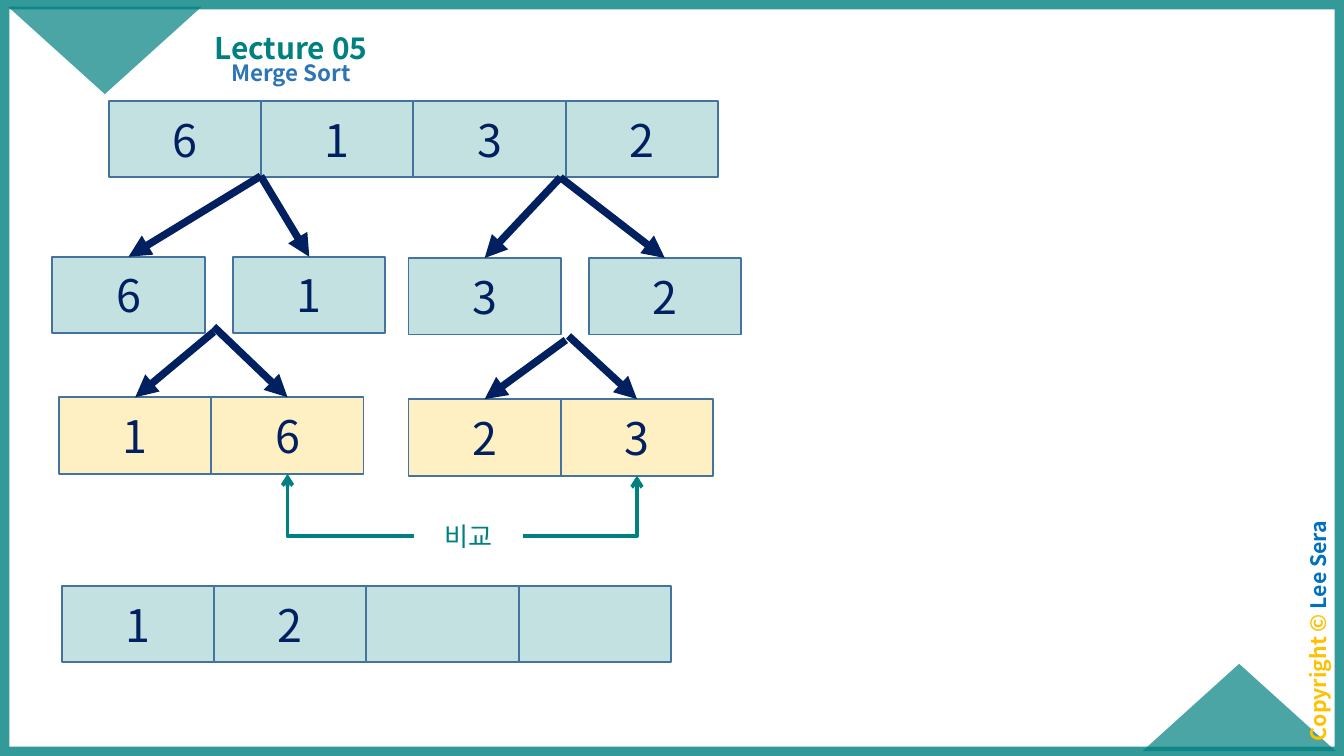
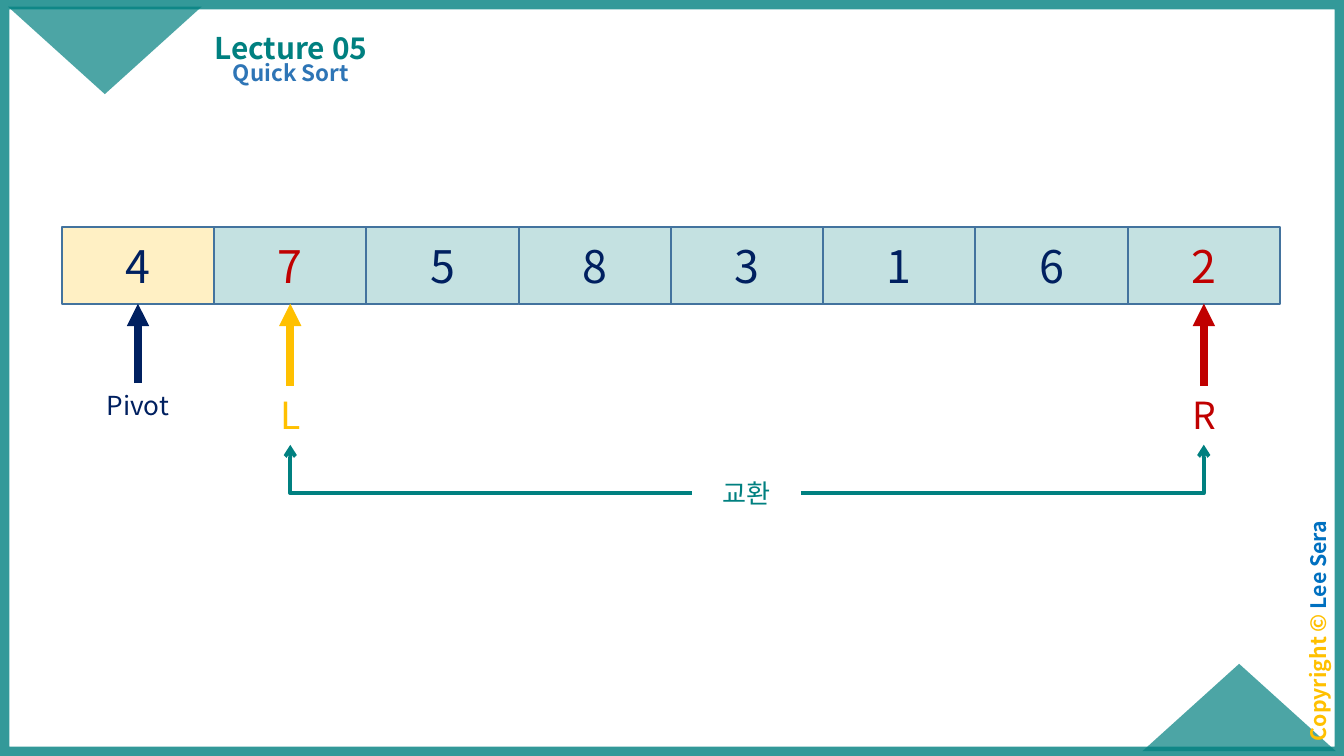
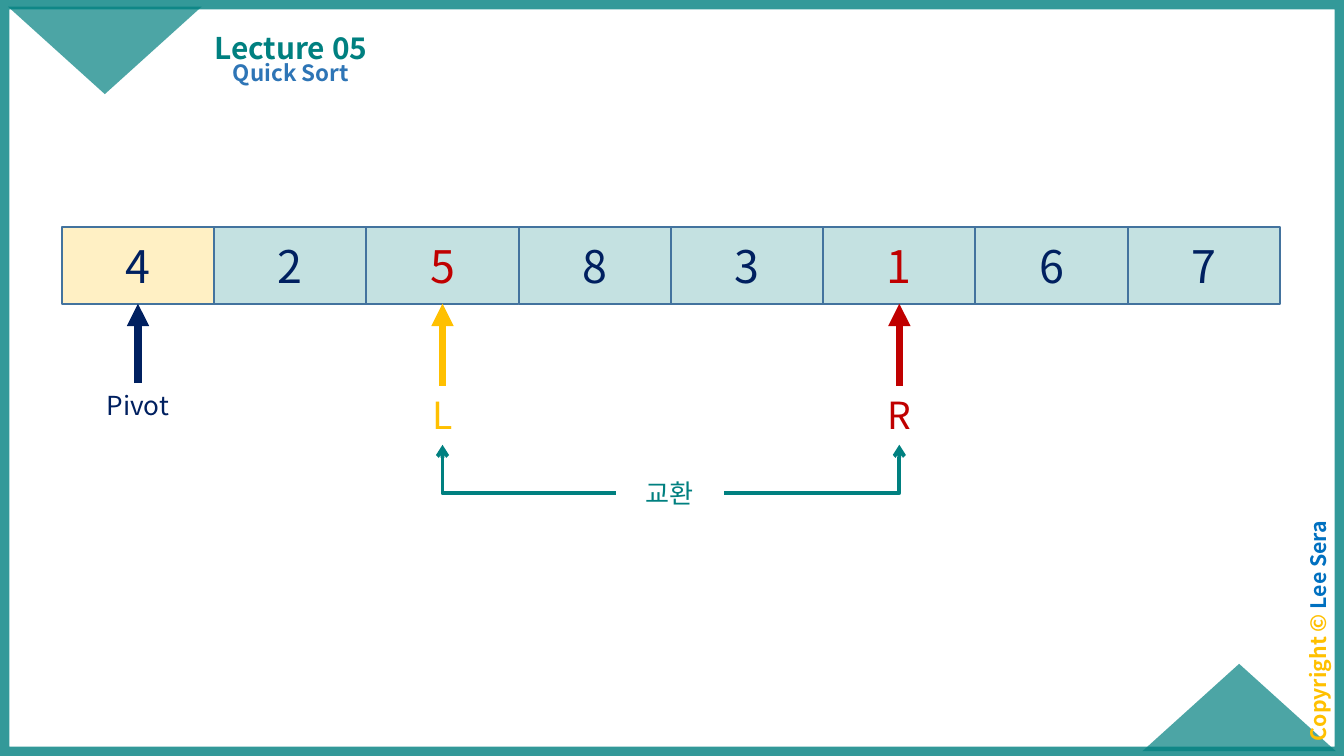
"""Build three lecture slides that illustrate merge sort and quick sort."""
from dataclasses import dataclass

from lxml import etree
from pptx import Presentation
from pptx import util as u
from pptx.dml.color import RGBColor
from pptx.enum import shapes, text
from pptx.oxml import ns

WIDTH, HEIGHT = u.Inches(10), u.Inches(5.625)
FONT = "Noto Sans CJK KR"
TEAL = RGBColor(0x00, 0x80, 0x80)
NAVY = RGBColor(0x00, 0x20, 0x60)
GOLD = RGBColor(0xFF, 0xC0, 0x00)
RED = RGBColor(0xC0, 0x00, 0x00)
BLUE = RGBColor(0x00, 0x70, 0xC0)
SUBTITLE_BLUE = RGBColor(0x2E, 0x75, 0xB6)
CELL_EDGE = RGBColor(0x43, 0x73, 0x9E)
CELL_WIDTH, CELL_HEIGHT = 11.33, 10.13
TOP, LEFT, BOTTOM = 0, 1, 2


@dataclass
class Box:
    """Hold a place in percent of the slide's width and height."""
    left: float
    top: float
    width: float
    height: float

    def lengths(self) -> tuple:
        """Return left, top, width and height as slide lengths."""
        return (across(self.left), down(self.top),
                across(self.width), down(self.height))


@dataclass
class Row:
    """Describe a row of number cells."""
    left: float
    top: float
    values: tuple
    pitch: float = CELL_WIDTH
    golds: tuple = ()
    reds: tuple = ()


@dataclass
class Split:
    """Describe an arrow from a point to the top of a cell."""
    x: float
    y: float
    row: int
    cell: int


@dataclass
class Marker:
    """Describe a label that points up at a cell."""
    caption: str
    cell: int
    color: RGBColor
    size: float
    top: float
    height: float


@dataclass
class Label:
    """Describe the style of a text box."""
    size: float
    color: RGBColor
    bold: bool = False
    spacing: float = 1.0
    before: float = 0
    anchor: text.MSO_ANCHOR = text.MSO_ANCHOR.TOP
    tight: bool = True


FRAME = Box(0, 0, 100, 100)
CORNERS = ((Box(85, 87.82, 14.4, 11.56), 0), (Box(0.6, 0.89, 14.4, 11.56), 180))
COPYRIGHT = Box(89.2, 81.24, 18.6, 4.44)
TITLE = Box(14, 1.07, 15.3, 8.36)
SUBTITLE = Box(11, 7.47, 21.3, 6.04)

MERGE_ROWS = (
    Row(8.1, 13.33, ("6", "1", "3", "2")),
    Row(3.9, 33.96, ("6", "1"), 13.45),
    Row(30.4, 34.13, ("3", "2"), 13.4),
    Row(4.4, 52.55, ("1", "6"), golds=(0, 1)),
    Row(30.4, 52.8, ("2", "3"), golds=(0, 1)),
    Row(4.6, 77.5, ("1", "2", "", "")),
)
SPLITS = (
    Split(19.4, 23.3, 1, 0), Split(19.4, 23.3, 1, 1),
    Split(41.7, 23.47, 2, 0), Split(41.7, 23.47, 2, 1),
    Split(15.9, 43.9, 3, 0), Split(15.9, 43.2, 3, 1),
    Split(42.1, 44.98, 4, 0), Split(42.3, 44.44, 4, 1),
)
QUICK_STEPS = (
    (("4", "7", "5", "8", "3", "1", "6", "2"), 1, 7, 51.5),
    (("4", "2", "5", "8", "3", "1", "6", "7"), 2, 5, 45.8),
)


def across(percent: float) -> int:
    """Return a share of the slide's width."""
    return round(WIDTH * percent / 100)


def down(percent: float) -> int:
    """Return a share of the slide's height."""
    return round(HEIGHT * percent / 100)


def set_alpha(properties, percent: int) -> None:
    """Make the solid colour under the given properties translucent."""
    color = properties.find(ns.qn("a:solidFill"))[0]
    etree.SubElement(color, ns.qn("a:alpha")).set("val", str(percent * 1000))


def format_run(run, size: float, color: RGBColor, bold: bool = False) -> None:
    """Give a run its font, size and colour."""
    run.font.name = FONT
    run.font.size = u.Pt(size)
    run.font.bold = bold
    run.font.color.rgb = color
    east_asian = etree.SubElement(run.font._element, ns.qn("a:ea"))
    east_asian.set("typeface", FONT)


def add_shape(slide, kind, box: Box, fill: RGBColor | None = None, opacity: int = 100):
    """Draw a preset shape with an optional translucent fill."""
    shape = slide.shapes.add_shape(kind, *box.lengths())
    shape.shadow.inherit = False
    shape.line.fill.background()
    if fill is None:
        shape.fill.background()
    else:
        shape.fill.solid()
        shape.fill.fore_color.rgb = fill
        set_alpha(shape._element.spPr, opacity)
    return shape


def add_label(slide, box: Box, caption: str, style: Label):
    """Draw one centred line of text."""
    shape = slide.shapes.add_textbox(*box.lengths())
    frame = shape.text_frame
    frame.text = caption
    frame.word_wrap = True
    frame.vertical_anchor = style.anchor
    if style.tight:
        frame.margin_left = frame.margin_right = u.Inches(0.07)
        frame.margin_top = frame.margin_bottom = u.Inches(0.04)
    else:
        frame.auto_size = text.MSO_AUTO_SIZE.SHAPE_TO_FIT_TEXT
    paragraph = frame.paragraphs[0]
    paragraph.alignment = text.PP_ALIGN.CENTER
    paragraph.line_spacing = style.spacing
    paragraph.space_before = u.Pt(style.before)
    format_run(paragraph.runs[0], style.size, style.color, style.bold)
    return shape


def add_arrow(slide, kind, start: tuple, end: tuple, color: RGBColor, width: float, head: str):
    """Draw a connector with an arrowhead at its end."""
    connector = slide.shapes.add_connector(kind, *start, *end)
    connector.line.color.rgb = color
    connector.line.width = u.Pt(width)
    properties = connector._element.spPr
    etree.SubElement(properties.find(ns.qn("a:ln")), ns.qn("a:tailEnd")).set("type", head)
    etree.SubElement(properties, ns.qn("a:effectLst"))
    return connector


def add_pointer(slide, start: tuple, cell, side: int, color: RGBColor):
    """Draw a thick straight arrow joined to a side of a cell."""
    end = (cell.left + cell.width // 2, cell.top + cell.height * side // BOTTOM)
    arrow = add_arrow(slide, shapes.MSO_CONNECTOR.STRAIGHT, start, end, color, 4, "triangle")
    arrow.end_connect(cell, side)
    return arrow


def add_row(slide, row: Row) -> list:
    """Draw a row of number cells and return them."""
    cells = []
    for index, value in enumerate(row.values):
        box = Box(row.left + index * row.pitch, row.top, CELL_WIDTH, CELL_HEIGHT)
        fill = GOLD if index in row.golds else TEAL
        cell = add_shape(slide, shapes.MSO_SHAPE.RECTANGLE, box, fill, 23)
        cell.line.color.rgb = CELL_EDGE
        cell.line.width = u.Pt(1)
        if value:
            cell.text_frame.text = value
            cell.text_frame.vertical_anchor = text.MSO_ANCHOR.MIDDLE
            paragraph = cell.text_frame.paragraphs[0]
            paragraph.alignment = text.PP_ALIGN.CENTER
            format_run(paragraph.runs[0], 24, RED if index in row.reds else NAVY)
        cells.append(cell)
    return cells


def add_bracket(slide, caption: str, left: float, top: float, targets: tuple) -> None:
    """Draw a caption with two elbow arrows up to the targets."""
    box = Box(left, top, 8.1, 6.04)
    x, y, width, height = box.lengths()
    add_label(slide, box, caption, Label(14, TEAL, tight=False))
    for start_x, (end_x, end_y) in zip((x, x + width), targets):
        arrow = add_arrow(slide, shapes.MSO_CONNECTOR.ELBOW, (start_x, y + height // 2),
                          (end_x, end_y), TEAL, 2, "arrow")
        properties = arrow._element.spPr
        properties.find(ns.qn("a:prstGeom")).set("prst", "bentConnector2")
        if end_x < start_x:
            properties.xfrm.flipH = properties.xfrm.flipV = False
            properties.xfrm.rot = 180


def add_marker(slide, marker: Marker, cells: list) -> tuple:
    """Draw a marker under its cell and return its bottom middle."""
    left = 4.6 + (marker.cell + 0.5) * CELL_WIDTH - 5.1
    box = Box(left, marker.top, 10.2, marker.height)
    label = add_label(slide, box, marker.caption, Label(marker.size, marker.color, tight=False))
    middle = label.left + label.width // 2
    pointer = add_pointer(slide, (middle, label.top), cells[marker.cell], BOTTOM, marker.color)
    pointer.begin_connect(label, TOP)
    return middle, label.top + label.height


def add_lecture_slide(presentation, subtitle: str):
    """Add a blank slide with the shared frame, corners and headings."""
    slide = presentation.slides.add_slide(presentation.slide_layouts[6])
    frame = add_shape(slide, shapes.MSO_SHAPE.RECTANGLE, FRAME)
    frame.line.color.rgb = TEAL
    frame.line.width = u.Pt(10)
    set_alpha(frame._element.spPr.find(ns.qn("a:ln")), 80)
    for box, rotation in CORNERS:
        corner = add_shape(slide, shapes.MSO_SHAPE.ISOSCELES_TRIANGLE, box, TEAL, 70)
        corner.rotation = rotation
    notice = add_label(slide, COPYRIGHT, "Copyright © ", Label(11.4, GOLD, True, 0.7, 10))
    notice.rotation = 270
    owner = notice.text_frame.paragraphs[0].add_run()
    owner.text = "Lee Sera"
    format_run(owner, 11.4, BLUE, True)
    add_label(slide, TITLE, "Lecture 05",
              Label(16, TEAL, True, 0.9, anchor=text.MSO_ANCHOR.BOTTOM))
    add_label(slide, SUBTITLE, subtitle, Label(12, SUBTITLE_BLUE, True, 0.9, 7.5))
    return slide


def add_merge_slide(presentation) -> None:
    """Add the merge sort slide."""
    slide = add_lecture_slide(presentation, "Merge Sort")
    rows = [add_row(slide, row) for row in MERGE_ROWS]
    for split in SPLITS:
        start = (across(split.x), down(split.y))
        add_pointer(slide, start, rows[split.row][split.cell], TOP, NAVY)
    compared = (rows[3][1], rows[4][1])
    targets = tuple((cell.left + cell.width // 2, cell.top + cell.height) for cell in compared)
    add_bracket(slide, "비교", 30.8, 67.9, targets)


def add_quick_slide(presentation, values: tuple, low: int, high: int, swap_left: float) -> None:
    """Add a quick sort slide that swaps the low and high cells."""
    slide = add_lecture_slide(presentation, "Quick Sort")
    cells = add_row(slide, Row(4.6, 30.04, values, golds=(0,), reds=(low, high)))
    add_marker(slide, Marker("Pivot", 0, NAVY, 14, 50.67, 6.04), cells)
    ends = tuple(
        add_marker(slide, Marker(caption, cell, color, 20, 51.02, 7.82), cells)
        for caption, cell, color in (("L", low, GOLD), ("R", high, RED)))
    add_bracket(slide, "교환", swap_left, 62.22, ends)


def main() -> None:
    """Build and save the presentation."""
    presentation = Presentation()
    presentation.slide_width, presentation.slide_height = WIDTH, HEIGHT
    add_merge_slide(presentation)
    for step in QUICK_STEPS:
        add_quick_slide(presentation, *step)
    presentation.save("out.pptx")


if __name__ == "__main__":
    main()
